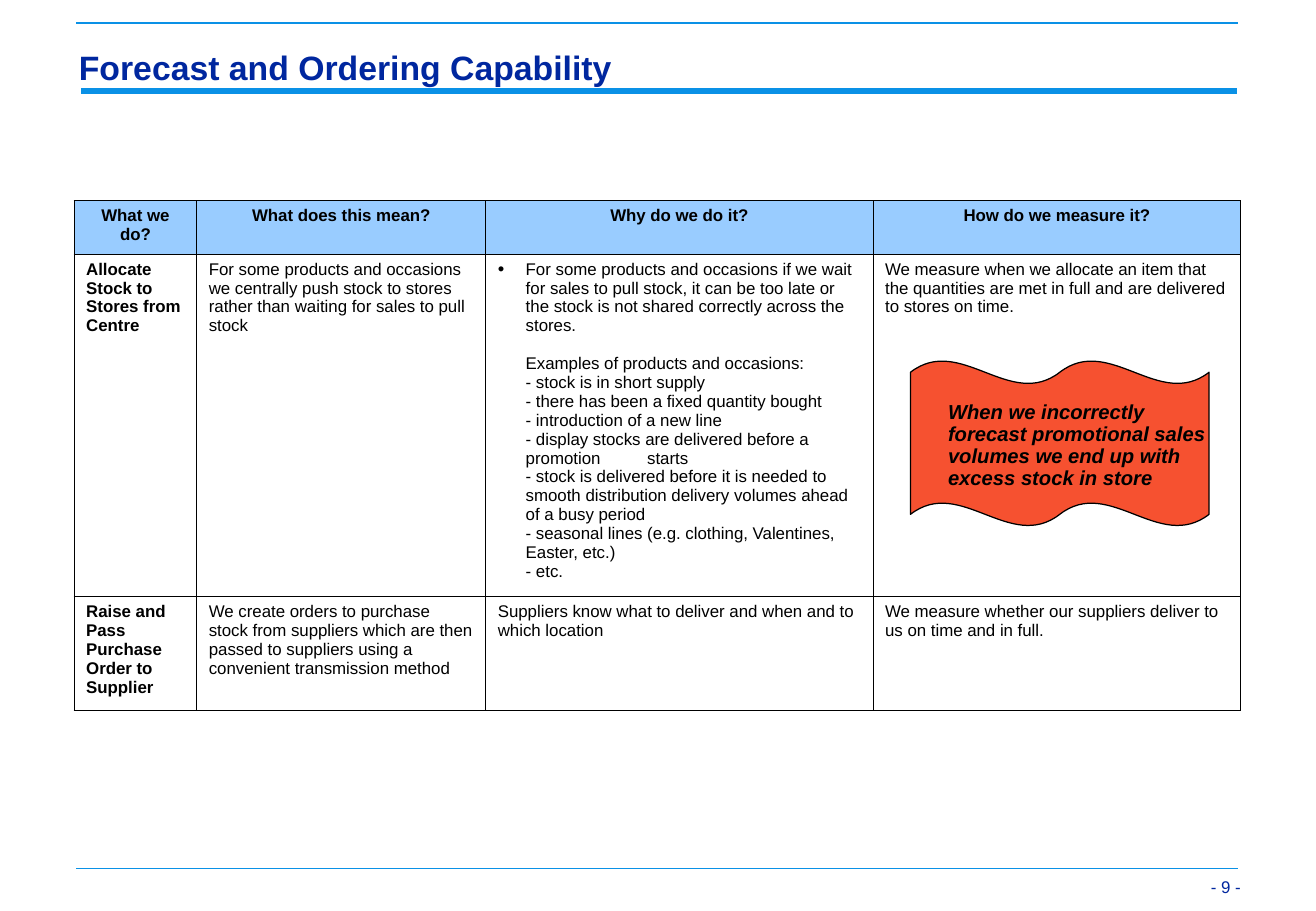
from dataclasses import dataclass

import pptx
import pptx.dml.color
import pptx.enum.shapes
import pptx.enum.text
import pptx.oxml
import pptx.oxml.ns
import pptx.util
from lxml import etree

Align = pptx.enum.text.PP_ALIGN
Anchor = pptx.enum.text.MSO_ANCHOR
Shape = pptx.enum.shapes.MSO_SHAPE
inch = pptx.util.Inches
point = pptx.util.Pt

WIDE, HIGH = 10.84, 7.5
COL, ROW = WIDE / 100, HIGH / 100
INDENT = 0.23


@dataclass(frozen=True)
class Theme:
    face: str = "Arial"
    navy: str = "00279F"
    blue: str = "0A91E6"
    pale: str = "99CCFF"
    red: str = "F65130"
    ink: str = "000000"
    head: float = 20
    note: float = 12
    body: float = 10
    edge: float = 0.45


THEME = Theme()


@dataclass(frozen=True)
class Rule:
    left: float
    right: float
    top: float
    width: float


@dataclass(frozen=True)
class Box:
    left: float
    top: float
    wide: float
    high: float


@dataclass(frozen=True)
class Style:
    size: float
    color: str = THEME.ink
    bold: bool = False
    slant: bool = False
    align: Align = Align.LEFT
    space: float = 1


@dataclass(frozen=True)
class Label:
    box: Box
    text: str
    style: Style
    anchor: Anchor = Anchor.BOTTOM
    side: float = 0.07
    edge: float = 0.03


RULES = [
    Rule(6.18, 94, 10, 4),
    Rule(5.81, 94.1, 2.53, 1),
    Rule(5.81, 94.1, 95.33, 1),
]

LABELS = [
    Label(Box(89.39, 93.6, 5.54, 5.2), "- 9 -",
          Style(THEME.body, THEME.navy, align=Align.RIGHT)),
    Label(Box(5.35, 4.4, 88.84, 5.87), "Forecast and Ordering Capability",
          Style(THEME.head, THEME.navy, True, space=0.97), edge=0.04),
    Label(Box(71.13, 43.47, 23.06, 10.93),
          "When we incorrectly forecast promotional sales volumes "
          "we end up with excess stock in store",
          Style(THEME.note, bold=True, slant=True, space=0.9),
          Anchor.TOP, 0.1, 0.05),
]

WAVE = Box(69.19, 39.6, 22.69, 18.13)
GRID = Box(5.63, 22, 88.66, 56)
COLS = [9.32, 21.96, 29.43, 27.95]
ROWS = [5.87, 37.6, 12.53]

REASON = """For some products and occasions if we wait for sales to pull stock, \
it can be too late or the stock is not shared correctly across the stores.
Examples of products and occasions:
- stock is in short supply
- there has been a fixed quantity bought
- introduction of a new line
- display stocks are delivered before a promotion\tstarts
- stock is delivered before it is needed to smooth distribution delivery \
volumes ahead of a busy period
- seasonal lines (e.g. clothing, Valentines, Easter, etc.)
- etc."""

CELLS = [
    ["What we do?", "What does this mean?", "Why do we do it?",
     "How do we measure it?"],
    ["Allocate Stock to Stores from Centre",
     "For some products and occasions we centrally push stock to stores "
     "rather than waiting for sales to pull stock",
     REASON,
     "We measure when we allocate an item that the quantities are met in "
     "full and are delivered to stores on time."],
    ["Raise and Pass Purchase Order to Supplier",
     "We create orders to purchase stock from suppliers which are then "
     "passed to suppliers using a convenient transmission method",
     "Suppliers know what to deliver and when and to which location",
     "We measure whether our suppliers deliver to us on time and in full."],
]


def paint(text: str) -> pptx.dml.color.RGBColor:
    return pptx.dml.color.RGBColor.from_string(text)


def place(box: Box) -> list[int]:
    return [inch(box.left * COL), inch(box.top * ROW),
            inch(box.wide * COL), inch(box.high * ROW)]


def add(node: etree.ElementBase, tag: str, **marks: str) -> etree.ElementBase:
    return etree.SubElement(node, pptx.oxml.ns.qn(tag), **marks)


def dress(par, style: Style) -> None:
    par.alignment = style.align
    if style.space != 1:
        par.line_spacing = style.space
    font = par.font
    font.name, font.size = THEME.face, point(style.size)
    font.bold, font.italic = style.bold, style.slant
    font.color.rgb = paint(style.color)


def draw_rule(slide, rule: Rule) -> None:
    left, right, top = rule.left * COL, rule.right * COL, rule.top * ROW
    line = slide.shapes.add_connector(
        pptx.enum.shapes.MSO_CONNECTOR.STRAIGHT,
        inch(left), inch(top), inch(right), inch(top))
    line.line.color.rgb = paint(THEME.blue)
    line.line.width = point(rule.width)
    add(line._element.spPr, "a:effectLst")


def draw_label(slide, label: Label) -> None:
    frame = slide.shapes.add_textbox(*place(label.box)).text_frame
    frame.word_wrap = True
    frame.vertical_anchor = label.anchor
    frame.margin_left = frame.margin_right = inch(label.side)
    frame.margin_top = frame.margin_bottom = inch(label.edge)
    frame.text = label.text
    dress(frame.paragraphs[0], label.style)


def draw_wave(slide, box: Box) -> None:
    wave = slide.shapes.add_shape(Shape.DOUBLE_WAVE, *place(box))
    wave.adjustments[0] = 0.07
    wave.shadow.inherit = False
    wave.fill.solid()
    wave.fill.fore_color.rgb = paint(THEME.red)
    wave.line.color.rgb = paint(THEME.ink)
    wave.line.width = point(0.75)


def edge_cell(cell) -> None:
    props = cell._tc.get_or_add_tcPr()
    for spot, side in enumerate("LRTB"):
        line = add(props, f"a:ln{side}", w=str(point(THEME.edge)))
        add(add(line, "a:solidFill"), "a:srgbClr", val=THEME.ink)
        props.insert(spot, line)


def list_items(pars) -> None:
    for spot, par in enumerate(pars):
        props = par._p.get_or_add_pPr()
        props.set("marL", str(inch(INDENT)))
        props.set("indent", str(inch(0 if spot else -INDENT)))
        if spot == 0:
            add(add(props, "a:buClr"), "a:srgbClr", val=THEME.ink)
            add(props, "a:buSzPct", val="110000")
            add(props, "a:buFont", typeface=THEME.face)
            add(props, "a:buChar", char="•")
        else:
            add(props, "a:buNone")
        if "\t" in par.text:
            add(add(props, "a:tabLst"), "a:tab", pos=str(inch(1.19)), algn="l")
    pars[1].space_before = point(11.5)


def draw_grid(slide) -> None:
    table = slide.shapes.add_table(len(ROWS), len(COLS), *place(GRID)).table
    for col, wide in zip(table.columns, COLS):
        col.width = inch(wide * COL)
    for row, high in zip(table.rows, ROWS):
        row.height = inch(high * ROW)
    for i, texts in enumerate(CELLS):
        for j, text in enumerate(texts):
            cell = table.cell(i, j)
            cell.text = text
            if i == 0:
                cell.fill.solid()
                cell.fill.fore_color.rgb = paint(THEME.pale)
            else:
                cell.fill.background()
            edge_cell(cell)
            pars = cell.text_frame.paragraphs
            if len(pars) > 1:
                list_items(pars)
            align = Align.CENTER if i == 0 else Align.LEFT
            for par in pars:
                dress(par, Style(THEME.body, bold=0 in (i, j), align=align))


def main() -> None:
    deck = pptx.Presentation()
    deck.slide_width, deck.slide_height = inch(WIDE), inch(HIGH)
    slide = deck.slides.add_slide(deck.slide_layouts[6])
    for rule in RULES:
        draw_rule(slide, rule)
    draw_grid(slide)
    draw_wave(slide, WAVE)
    for label in LABELS:
        draw_label(slide, label)
    deck.save("out.pptx")


if __name__ == "__main__":
    main()
